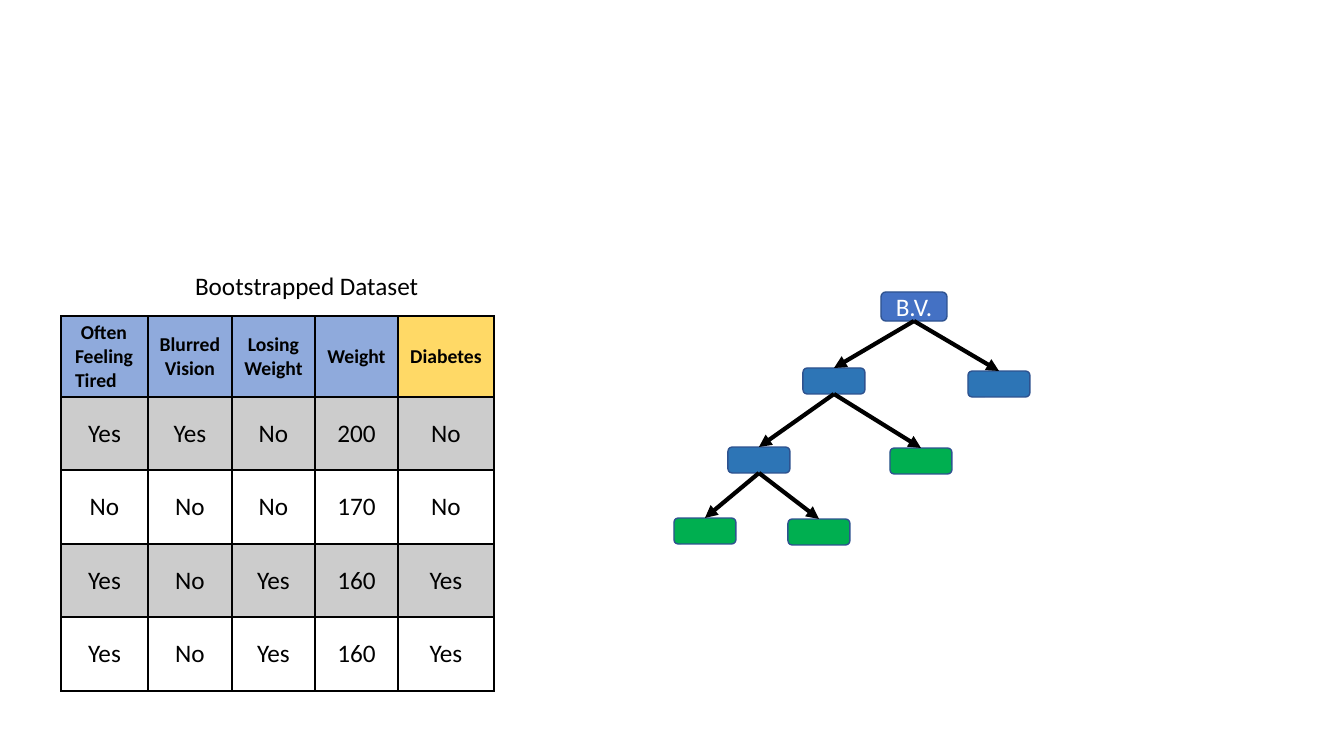
from dataclasses import dataclass

from lxml.etree import SubElement
from pptx import Presentation
from pptx.dml.color import RGBColor
from pptx.enum.shapes import MSO_CONNECTOR, MSO_SHAPE
from pptx.enum.text import MSO_ANCHOR, MSO_AUTO_SIZE, PP_ALIGN
from pptx.oxml.ns import qn
from pptx.util import Emu, Pt

SCALE = 914400 / 100.8


def px(length):
    """Turn pixels into EMU."""
    return Emu(round(length * SCALE))


@dataclass(frozen=True)
class Theme:
    """Colours, type sizes and line widths of the slide."""
    font: str = "Calibri"
    ink: str = "000000"
    paper: str = "FFFFFF"
    feature: str = "8FAADC"
    target: str = "FFD966"
    band: str = "CCCCCC"
    root: str = "4471C4"
    branch: str = "2D75B6"
    leaf: str = "00AF50"
    outline: str = "2E528F"
    text_size: float = 18
    header_size: float = 14
    thin: float = 1
    rule: float = 2.25
    arrow: float = 3


class Page:
    """Draws elements on one slide in one style."""

    def __init__(self, deck, theme):
        """Add a slide that has a title placeholder."""
        self.slide = deck.slides.add_slide(deck.slide_layouts[5])
        self.shapes = self.slide.shapes
        self.theme = theme

    def add_span(self, paragraph, text, size, color, bold=False):
        """Add one formatted run to a paragraph."""
        span = paragraph.add_run()
        span.text = text
        span.font.name = self.theme.font
        span.font.size = Pt(size)
        span.font.bold = bold
        span.font.color.rgb = RGBColor.from_string(color)

    def no_margins(self, holder):
        """Clear the inner margins of a text frame or cell."""
        holder.margin_left = holder.margin_right = 0
        holder.margin_top = holder.margin_bottom = 0
        holder.vertical_anchor = MSO_ANCHOR.MIDDLE

    def title(self, text, left, top, width, height):
        """Place and fill the title placeholder."""
        box = self.shapes.title
        box.left, box.top, box.width, box.height = map(px, (left, top, width, height))
        frame = box.text_frame
        self.no_margins(frame)
        frame.auto_size = MSO_AUTO_SIZE.NONE
        frame.word_wrap = False
        paragraph = frame.paragraphs[0]
        paragraph.alignment = PP_ALIGN.LEFT
        self.add_span(paragraph, text, self.theme.text_size, self.theme.ink)

    def cell(self, cell, text, fill, header, widths):
        """Fill one table cell; widths are its left, right, top and bottom lines."""
        theme = self.theme
        self.no_margins(cell)
        properties = cell._tc.get_or_add_tcPr()
        for side, width in zip("LRTB", widths):
            line = SubElement(properties, qn(f"a:ln{side}"), w=str(Pt(width)))
            solid = SubElement(line, qn("a:solidFill"))
            SubElement(solid, qn("a:srgbClr"), val=theme.ink)
        cell.fill.solid()
        cell.fill.fore_color.rgb = RGBColor.from_string(fill)
        paragraph = cell.text_frame.paragraphs[0]
        paragraph.alignment = PP_ALIGN.CENTER
        size = theme.header_size if header else theme.text_size
        self.add_span(paragraph, text, size, theme.ink, header)

    def table(self, rows, left, top, widths, heights):
        """Add a ruled table whose first row is the header."""
        theme = self.theme
        frame = self.shapes.add_table(len(rows), len(widths), px(left), px(top),
                                      px(sum(widths)), px(sum(heights)))
        table = frame.table
        table.first_row = table.horz_banding = False
        for column, width in zip(table.columns, widths):
            column.width = px(width)
        for row, height in zip(table.rows, heights):
            row.height = px(height)
        for r, row in enumerate(rows):
            above = theme.rule if r == 1 else theme.thin
            below = theme.rule if r == 0 else theme.thin
            for c, text in enumerate(row):
                if r == 0:
                    fill = theme.target if c == len(row) - 1 else theme.feature
                else:
                    fill = theme.band if r % 2 else theme.paper
                self.cell(table.cell(r, c), text, fill, r == 0,
                          (theme.thin, theme.thin, above, below))
        return table

    def indent(self, paragraph, left, first):
        """Left-align a paragraph with a first-line indent."""
        paragraph.alignment = PP_ALIGN.LEFT
        properties = paragraph._p.get_or_add_pPr()
        properties.set("marL", str(px(left)))
        properties.set("indent", str(px(first)))

    def node(self, left, top, fill, text="", width=62, height=26):
        """Add a rounded tree node."""
        theme = self.theme
        shape = self.shapes.add_shape(MSO_SHAPE.ROUNDED_RECTANGLE,
                                      *map(px, (left, top, width, height)))
        shape.shadow.inherit = False
        shape.fill.solid()
        shape.fill.fore_color.rgb = RGBColor.from_string(fill)
        shape.line.color.rgb = RGBColor.from_string(theme.outline)
        shape.line.width = Pt(theme.thin)
        if text:
            frame = shape.text_frame
            self.no_margins(frame)
            frame.word_wrap = False
            paragraph = frame.paragraphs[0]
            paragraph.alignment = PP_ALIGN.CENTER
            self.add_span(paragraph, text, theme.text_size, theme.paper)
        return shape

    def arrow(self, parent, child):
        """Join the bottom of a parent node to the top of its child."""
        connector = self.shapes.add_connector(MSO_CONNECTOR.STRAIGHT, 0, 0, 0, 0)
        connector.begin_connect(parent, 2)
        connector.end_connect(child, 0)
        connector.line.color.rgb = RGBColor.from_string(self.theme.ink)
        connector.line.width = Pt(self.theme.arrow)
        SubElement(connector.line._get_or_add_ln(), qn("a:tailEnd"), type="triangle")
        SubElement(connector._element.spPr, qn("a:effectLst"))


ROWS = [
    ["Often Feeling Tired", "Blurred Vision", "Losing Weight", "Weight", "Diabetes"],
    ["Yes", "Yes", "No", "200", "No"],
    ["No", "No", "No", "170", "No"],
    ["Yes", "No", "Yes", "160", "Yes"],
    ["Yes", "No", "Yes", "160", "Yes"],
]


def main():
    """Build the slide and save it."""
    theme = Theme()
    deck = Presentation()
    deck.slide_width, deck.slide_height = px(1344), px(756)
    page = Page(deck, theme)

    page.title("Bootstrapped Dataset", 195, 269, 226, 33)
    dataset = page.table(ROWS, 61, 316, [87, 84, 83, 83, 96], [81, 73, 74, 73, 74])
    page.indent(dataset.cell(0, 0).text_frame.paragraphs[0], 14, 6)

    root = page.node(881, 292, theme.root, "B.V.", 66, 29)
    left_branch = page.node(803, 368, theme.branch)
    right_branch = page.node(968, 371, theme.branch)
    lower_branch = page.node(728, 447, theme.branch)
    middle_leaf = page.node(890, 448, theme.leaf)
    left_leaf = page.node(674, 518, theme.leaf)
    right_leaf = page.node(788, 519, theme.leaf)
    for parent, children in [
        (root, (left_branch, right_branch)),
        (left_branch, (lower_branch, middle_leaf)),
        (lower_branch, (left_leaf, right_leaf)),
    ]:
        for child in children:
            page.arrow(parent, child)

    deck.save("out.pptx")


main()
